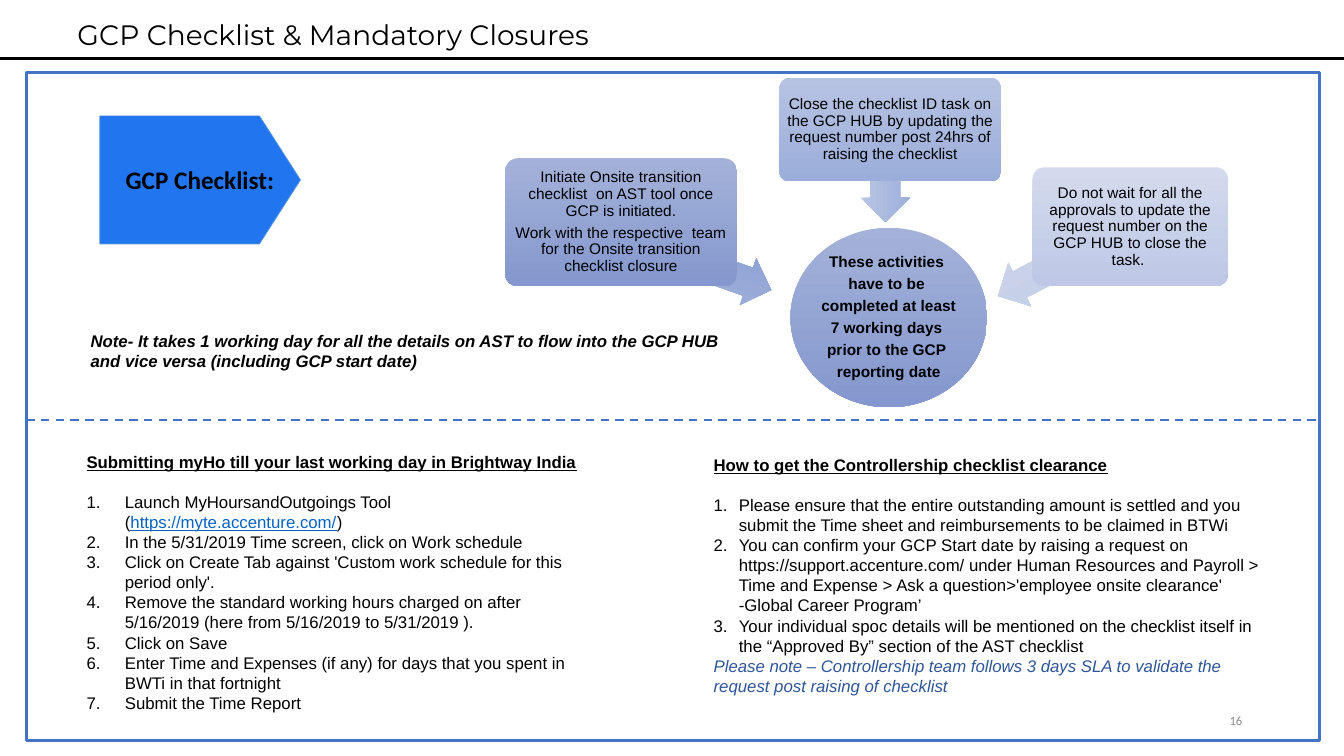
import pptx
import pptx.util
import pptx.dml.color
import pptx.enum.dml
import pptx.enum.shapes
import pptx.enum.text
import pptx.oxml.ns
import lxml.etree

Inches = pptx.util.Inches
Pt = pptx.util.Pt
SHAPE = pptx.enum.shapes.MSO_SHAPE
ALIGN = pptx.enum.text.PP_ALIGN
MIDDLE = pptx.enum.text.MSO_ANCHOR.MIDDLE
DASH = pptx.enum.dml.MSO_LINE.DASH
COLORS = {
    "black": "000000", "white": "FFFFFF", "frame": "4472C4", "tag": "2176F0",
    "tag_line": "5B9BD5", "link": "0563C1", "note": "2F5597", "number": "8C8C8C",
}
DEEP = ("A4B2D9", "8497CE")

STEPS = [
    ((5.01, 1.57, 2.3, 1.27), DEEP,
     ["Initiate Onsite transition checklist  on AST tool once GCP is initiated.",
      "Work with the respective  team for the Onsite transition checklist closure"],
     (5.95, 2.34, 1.75, 0.49), 199.5, ("A7B5DB", "869BD2")),
    ((7.73, 0.77, 2.2, 1.03), ("B7C3E2", "9BADDA"),
     ["Close the checklist ID task on the GCP HUB by updating the request number "
      "post 24hrs of raising the checklist"],
     (8.32, 1.5, 0.92, 0.49), 270, ("B9C5E3", "9EAFDB")),
    ((10.24, 1.66, 1.94, 1.18), ("D3DAED", "BEC8E6"),
     ["Do not wait for all the approvals to update the request number on the "
      "GCP HUB to close the task. "],
     (9.81, 2.34, 1.51, 0.49), 332.2, ("D3DAED", "BEC8E6")),
]
DEADLINE = ["These activities ", "have to be ", "completed at least",
            "7 working days ", "prior to the GCP ", "reporting date"]
TIME_STEPS = [
    [("Launch MyHoursandOutgoings Tool (", {}),
     ("https://myte.accenture.com/", {"color": "link", "underline": True}), (")", {})],
    [("In the 5/31/2019 Time screen, click on Work schedule", {})],
    [("Click on Create Tab against 'Custom work schedule for this period only'.", {})],
    [("Remove the standard working hours charged on after 5/16/2019 "
      "(here from 5/16/2019 to 5/31/2019 ).", {})],
    [("Click on Save", {})],
    [("Enter Time and Expenses (if any) for days that you spent in BWTi in that fortnight", {})],
    [("Submit the Time Report", {})],
]
CLEARANCE_STEPS = [
    [("Please ensure that the entire outstanding amount is settled and you submit "
      "the Time sheet and reimbursements to be claimed in BTWi", {})],
    [("You can confirm your GCP Start date by raising a request "
      "on https://support.accenture.com/ under Human Resources and Payroll "
      "> Time and Expense > Ask a question>'employee onsite clearance' "
      "-Global Career Program’", {})],
    [("Your individual spoc details will be mentioned on the checklist itself in "
      "the “Approved By” section of the AST checklist", {})],
]


def rgb(value):
    """Turn a colour name or hex string into a colour."""
    return pptx.dml.color.RGBColor.from_string(COLORS.get(value, value))


def add_run(p, text, size=12, font="Arial", color="black", bold=False, italic=False,
            underline=False):
    """Add one formatted run."""
    r = p.add_run()
    r.text = text
    f = r.font
    f.size, f.name, f.bold, f.italic, f.underline = Pt(size), font, bold, italic, underline
    f.color.rgb = rgb(color)


def add_shape(s, kind, box, fill, line=None, width=1):
    """Add a preset shape with a solid or two-colour vertical gradient fill."""
    sp = s.shapes.add_shape(kind, *map(Inches, box))
    sp.shadow.inherit = False
    if isinstance(fill, tuple):
        sp.fill.gradient()
        sp.fill.gradient_angle = 270
        for stop, color in zip(sp.fill.gradient_stops, fill):
            stop.color.rgb = rgb(color)
    else:
        sp.fill.solid()
        sp.fill.fore_color.rgb = rgb(fill)
    if line:
        sp.line.color.rgb = rgb(line)
        sp.line.width = Pt(width)
    else:
        sp.line.fill.background()
    return sp


def fill_step(sp, texts, inset, bold=False):
    """Write centred, tightly spaced paragraphs into a diagram shape."""
    tf = sp.text_frame
    tf.word_wrap = True
    tf.vertical_anchor = MIDDLE
    tf.margin_left = tf.margin_right = tf.margin_top = tf.margin_bottom = Inches(inset)
    for i, text in enumerate(texts):
        p = tf.add_paragraph() if i else tf.paragraphs[0]
        p.alignment = ALIGN.CENTER
        p.line_spacing = 0.9
        p.space_after = Pt(3.9)
        add_run(p, text, size=11, bold=bold)


def add_line(s, left, right, y, color, width, dash=None):
    """Add a horizontal rule."""
    c = s.shapes.add_connector(pptx.enum.shapes.MSO_CONNECTOR.STRAIGHT,
                               Inches(left), Inches(y), Inches(right), Inches(y))
    c.line.color.rgb = rgb(color)
    c.line.width = Pt(width)
    if dash:
        c.line.dash_style = dash
    lxml.etree.SubElement(c._element.spPr, pptx.oxml.ns.qn("a:effectLst"))


def add_text(s, box, text, wrap=True, **style):
    """Add a text box whose first paragraph holds one run."""
    tf = s.shapes.add_textbox(*map(Inches, box)).text_frame
    tf.word_wrap = wrap
    add_run(tf.paragraphs[0], text, **style)
    return tf


def add_numbered_list(s, box, heading, items, indent):
    """Add an underlined heading followed by numbered items."""
    tf = add_text(s, box, heading, bold=True, underline=True)
    tf.paragraphs[0].space_after = Pt(14)
    for item in items:
        p = tf.add_paragraph()
        pPr = p._p.get_or_add_pPr()
        pPr.set("marL", str(Inches(indent)))
        pPr.set("indent", str(-Inches(indent)))
        bullet = lxml.etree.SubElement(pPr, pptx.oxml.ns.qn("a:buAutoNum"))
        bullet.set("type", "arabicPeriod")
        for text, style in item:
            add_run(p, text, **style)
    return tf


def add_diagram(s):
    """Draw the three steps pointing at the deadline circle."""
    circle = add_shape(s, SHAPE.OVAL, (7.84, 2.26, 1.95, 1.78), DEEP)
    fill_step(circle, DEADLINE, 0.01, bold=True)
    for box, fill, texts, arrow_box, angle, arrow_fill in STEPS:
        arrow = add_shape(s, SHAPE.LEFT_ARROW, arrow_box, arrow_fill)
        arrow.adjustments[0] = 0.6
        arrow.rotation = angle
        card = add_shape(s, SHAPE.ROUNDED_RECTANGLE, box, fill)
        card.adjustments[0] = 0.1
        fill_step(card, texts, 0.02)


def add_tag(s):
    """Draw the pentagon label of the upper half."""
    tag = add_shape(s, SHAPE.PENTAGON, (0.99, 1.15, 1.99, 1.27), "tag", "tag_line", 0.5)
    tag.adjustments[0] = 0.32
    tf = tag.text_frame
    tf.margin_left, tf.margin_right = Inches(0.2), 0
    tf.vertical_anchor = MIDDLE
    p = tf.paragraphs[0]
    p.alignment = ALIGN.CENTER
    add_run(p, "GCP Checklist:", size=18, font="Calibri", bold=True)


def main():
    """Build the checklist slide."""
    prs = pptx.Presentation()
    prs.slide_width, prs.slide_height = Inches(13.33), Inches(7.5)
    s = prs.slides.add_slide(prs.slide_layouts[6])
    add_shape(s, SHAPE.RECTANGLE, (0.26, 0.72, 12.83, 6.63), "white", "frame", 2.25)
    add_diagram(s)
    add_text(s, (0.67, 0.12, 5.98, 0.44), "GCP Checklist & Mandatory Closures",
             wrap=False, size=20, font="Montserrat")
    add_line(s, 0, 13.33, 0.58, "black", 1.5)
    add_line(s, 0.26, 13.09, 4.17, "frame", 1.5, DASH)
    add_text(s, (0.8, 3.23, 6.56, 0.5),
             "Note- It takes 1 working day for all the details on AST to flow into the "
             "GCP HUB and vice versa (including GCP start date)", bold=True, italic=True)
    add_tag(s)
    tf = add_text(s, (9.42, 6.95, 3, 0.4), "16", size=9, font="Calibri", color="number")
    tf.vertical_anchor = MIDDLE
    tf.paragraphs[0].alignment = ALIGN.RIGHT
    add_numbered_list(s, (0.76, 4.43, 5.28, 2.73),
                      "Submitting myHo till your last working day in Brightway India",
                      TIME_STEPS, 0.38)
    tf = add_numbered_list(s, (6.98, 4.46, 5.8, 2.52),
                           "How to get the Controllership checklist clearance",
                           CLEARANCE_STEPS, 0.25)
    add_run(tf.add_paragraph(),
            "Please note – Controllership team follows 3 days SLA to validate the "
            "request post raising of checklist", color="note", italic=True)
    prs.save("out.pptx")


if __name__ == "__main__":
    main()
